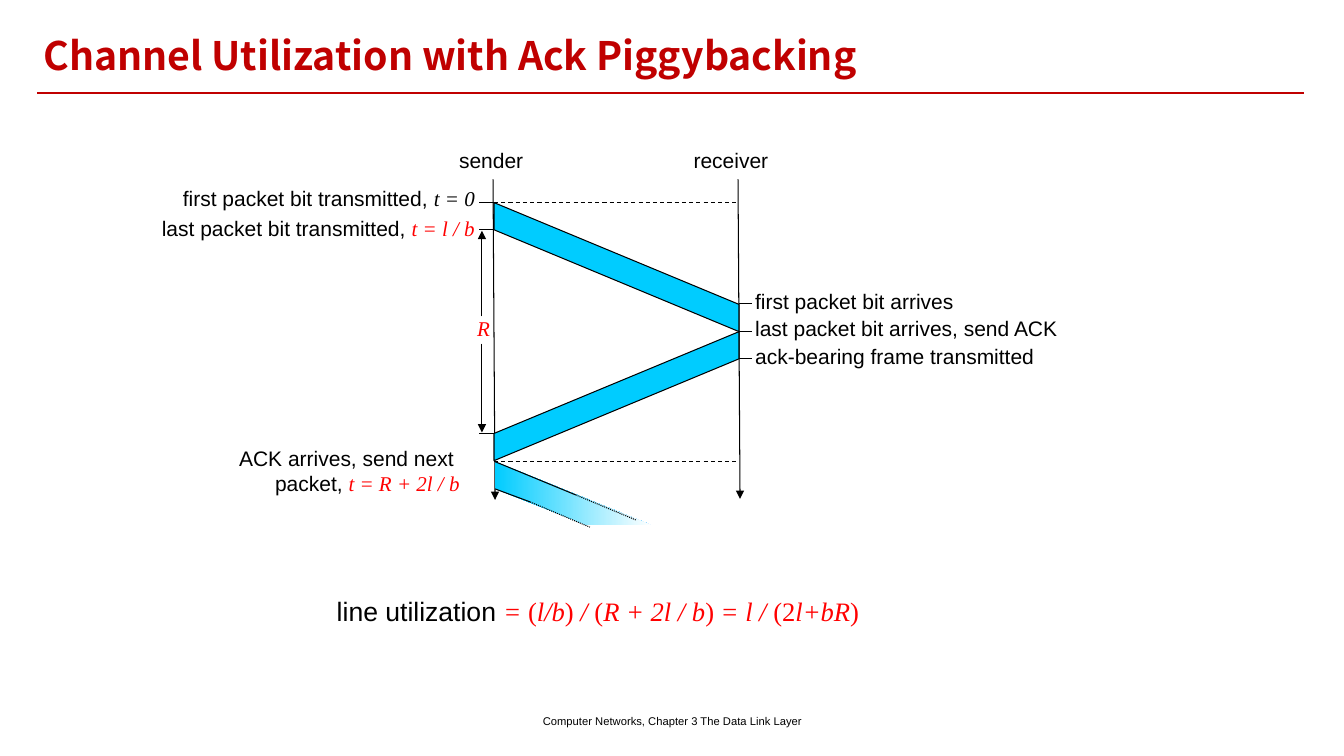
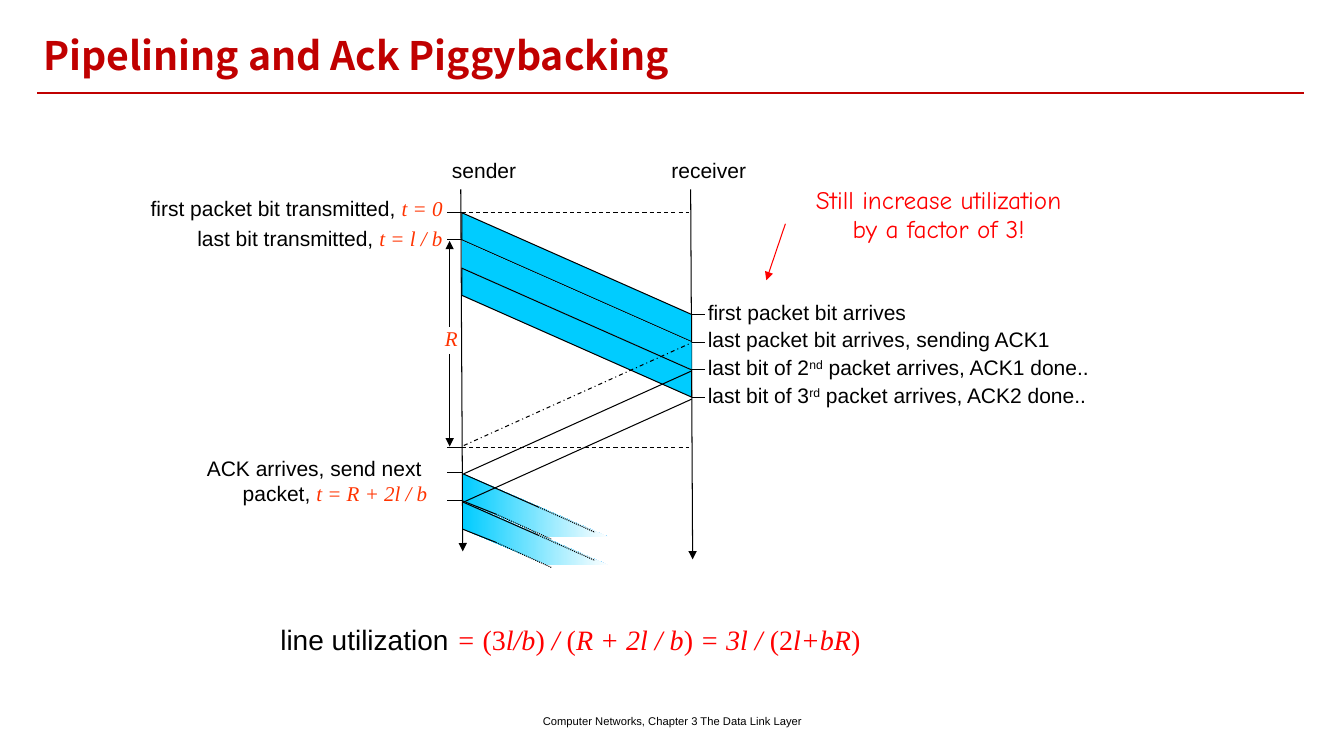
from lxml.etree import SubElement
from pptx import Presentation
from pptx.dml.color import RGBColor
from pptx.enum.dml import MSO_LINE as Dash
from pptx.enum.shapes import MSO_CONNECTOR as Connector
from pptx.enum.text import MSO_ANCHOR as Anchor, PP_ALIGN as Align
from pptx.oxml.ns import qn
from pptx.util import Inches, Pt

DARK_RED = RGBColor(0xC0, 0x00, 0x00)
RED = RGBColor(0xFF, 0x00, 0x00)
ORANGE_RED = RGBColor(0xFF, 0x33, 0x00)
BLACK = RGBColor(0x00, 0x00, 0x00)
WHITE = RGBColor(0xFF, 0xFF, 0xFF)
CYAN = RGBColor(0x00, 0xCC, 0xFF)

SANS = "Arial"
SERIF = "Times New Roman"
TITLE_FONT = "Noto Sans CJK SC"
CALLOUT_FONT = "Comic Neue"

PACKET = 0.27
ROW_HEIGHT = 0.34
TICK = 0.15


def math_run(text, color=RED, italic=True):
    return text, {"font": SERIF, "color": color, "italic": italic}


def superscript(text):
    return text, {"baseline": 30}


def format_run(run, font=SANS, size=15, color=BLACK, bold=False, italic=False, baseline=0):
    run.font.name = font
    run.font.size = Pt(size)
    run.font.color.rgb = color
    run.font.bold = bold
    run.font.italic = italic
    if baseline:
        run.font._element.set("baseline", str(baseline * 1000))


def write_text(shape, paragraphs, align=Align.LEFT, anchor=Anchor.TOP, spacing=1.0, **run_format):
    frame = shape.text_frame
    frame.word_wrap = True
    frame.vertical_anchor = anchor
    frame.margin_left = frame.margin_right = Inches(0.09)
    frame.margin_top = frame.margin_bottom = Inches(0.05)
    for index, runs in enumerate(paragraphs):
        paragraph = frame.add_paragraph() if index else frame.paragraphs[0]
        paragraph.alignment = align
        paragraph.line_spacing = spacing
        for item in runs:
            text, changes = (item, {}) if isinstance(item, str) else item
            run = paragraph.add_run()
            run.text = text
            format_run(run, **{**run_format, **changes})


def add_text(slide, box, paragraphs, **text_format):
    shape = slide.shapes.add_textbox(*map(Inches, box))
    write_text(shape, paragraphs, **text_format)


def add_label_before(slide, right, top, *paragraphs, **text_format):
    width = 3.6
    box = (right - width, top, width, ROW_HEIGHT * len(paragraphs))
    add_text(slide, box, paragraphs, align=Align.RIGHT, **text_format)


def draw_line(slide, start, end, color=BLACK, width=0.75, dash=None, arrow=False):
    connector = slide.shapes.add_connector(Connector.STRAIGHT, *map(Inches, (*start, *end)))
    connector.line.color.rgb = color
    connector.line.width = Pt(width)
    if dash:
        connector.line.dash_style = dash
    properties = connector._element.spPr
    if arrow:
        SubElement(properties.find(qn("a:ln")), qn("a:tailEnd"), type="triangle")
    SubElement(properties, qn("a:effectLst"))


def draw_polygon(slide, points, outlined=True, fading=False):
    corners = [(Inches(x), Inches(y)) for x, y in points]
    builder = slide.shapes.build_freeform(*corners[0])
    builder.add_line_segments(corners[1:], close=True)
    shape = builder.convert_to_shape()
    shape.shadow.inherit = False
    if fading:
        shape.fill.gradient()
        shape.fill.gradient_angle = 0
        for stop, color in zip(shape.fill.gradient_stops, (CYAN, WHITE)):
            stop.color.rgb = color
    else:
        shape.fill.solid()
        shape.fill.fore_color.rgb = CYAN
    if outlined:
        shape.line.color.rgb = BLACK
        shape.line.width = Pt(0.75)
    else:
        shape.line.fill.background()


def draw_packet(slide, x, y, span, outlined=True):
    drop = 1.01
    draw_polygon(slide, [(x, y), (x + span, y + drop), (x + span, y + drop + PACKET),
                         (x, y + PACKET)], outlined=outlined)


def draw_fading_packet(slide, x, y, width):
    scale = width / 1.55

    def place(points):
        return [(x + scale * across, y + down) for across, down in points]

    draw_polygon(slide, place([(0, 0), (1.55, 0.63), (0.92, 0.63), (0, PACKET)]),
                 outlined=False, fading=True)
    for edge in ([(0, 0), (0.8, 0.33), (1.4, 0.58)],
                 [(0, PACKET), (0.35, 0.4), (0.94, 0.65)]):
        start, bend, end = place(edge)
        draw_line(slide, start, bend)
        draw_line(slide, bend, end, dash=Dash.ROUND_DOT)


def draw_timelines(slide, left, top, span, lengths, header_shift):
    for name, x, length in zip(("sender", "receiver"), (left, left + span), lengths):
        add_label_before(slide, x + header_shift, top - 0.6, [name])
        draw_line(slide, (x - 0.01, top - 0.23), (x + 0.01, top + length), arrow=True)


def draw_guides(slide, left, top, span, offsets):
    for offset in offsets:
        y = top + offset
        draw_line(slide, (left, y), (left + span - 0.03, y), dash=Dash.DASH)


def draw_sender_notes(slide, left, top, color, start_color, last_bit, reply, ticks):
    for offset in (0, PACKET, reply, *ticks):
        draw_line(slide, (left, top + offset), (left - TICK, top + offset))
    add_label_before(slide, left - 0.1, top - 0.22,
                     ["first packet bit transmitted, ", math_run("t = 0", start_color)])
    add_label_before(slide, left - 0.1, top + 0.08, [last_bit, math_run("t = l / b", color)])
    add_label_before(slide, left - 0.25, top + 2.36, ["ACK arrives, send next "],
                     ["packet, ", math_run("t = R + 2l / b", color)])
    add_label_before(slide, left + 0.05, top + 1.07, [math_run("R", color)])
    for start, end in ((1.4, reply - 0.01), (1.13, 0.28)):
        draw_line(slide, (left - 0.12, top + start), (left - 0.12, top + end), arrow=True)


def draw_receiver_notes(slide, x, top, notes):
    for index, runs in enumerate(notes):
        y = top + 1 + index * 0.275
        draw_line(slide, (x, y), (x + 0.13, y))
        add_text(slide, (x + 0.07, y - 0.2, 4.2, ROW_HEIGHT), [runs])


def add_formula(slide, left, top, size, factor):
    upright = [math_run(text, italic=False) for text in (f"({factor}", ")", "(", "(2")]
    opening, closing, bracket, last_opening = upright
    runs = ["line utilization ", math_run("= "), opening, math_run("l/b"), closing,
            math_run(" / "), bracket, math_run("R + 2l / b"), closing,
            math_run(f" = {factor}l / "), last_opening, math_run("l+bR"), closing]
    add_text(slide, (left, top, 6.27, 0.42), [runs], size=size)


def add_callout(slide, left, top):
    add_text(slide, (left, top, 3.26, 0.66),
             [["Still increase utilization"], ["by a factor of 3!"]],
             align=Align.CENTER, spacing=0.95, font=CALLOUT_FONT, size=18, color=RED)
    draw_line(slide, (left + 0.11, top + 0.42), (left - 0.08, top + 0.98), color=RED, arrow=True)


def add_framed_slide(presentation, title):
    slide = presentation.slides.add_slide(presentation.slide_layouts[5])
    heading = slide.shapes.title
    heading.left, heading.top, heading.width, heading.height = map(
        Inches, (0.34, 0.26, 12.8, 0.57))
    write_text(heading, [[title]], anchor=Anchor.MIDDLE, font=TITLE_FONT, size=28,
               color=DARK_RED, bold=True)
    draw_line(slide, (0.37, 0.92), (12.93, 0.92), color=DARK_RED, width=1.5)
    add_text(slide, (4.42, 6.95, 4.5, 0.4),
             [["Computer Networks, Chapter 3 The Data Link Layer"]],
             align=Align.CENTER, anchor=Anchor.MIDDLE, size=8)
    return slide


def build_piggybacking(presentation):
    slide = add_framed_slide(presentation, "Channel Utilization with Ack Piggybacking")
    left, top, span = 4.9, 2.01, 2.43
    receiver = left + span
    draw_timelines(slide, left, top, span, (2.95, 2.94), 0.38)
    draw_guides(slide, left, top, span, (0, 2.57))
    draw_packet(slide, left, top, span)
    draw_packet(slide, receiver, top + 1.28, -span)
    draw_fading_packet(slide, left + 0.01, top + 2.57, 1.55)
    draw_sender_notes(slide, left, top, RED, BLACK, "last packet bit transmitted, ", 2.29, ())
    draw_receiver_notes(slide, receiver, top, [
        ["first packet bit arrives"],
        ["last packet bit arrives, send ACK"],
        ["ack-bearing frame transmitted"]])
    add_formula(slide, 3.25, 5.85, 19, "")


def build_pipelining(presentation):
    slide = add_framed_slide(presentation, "Pipelining and Ack Piggybacking")
    left, top, span = 4.58, 2.11, 2.28
    receiver = left + span
    ack_step = 0.28
    draw_timelines(slide, left, top, span, (3.36, 3.44), 0.63)
    draw_guides(slide, left, top, span, (0, 2.33))
    for index in range(3):
        draw_packet(slide, left, top + index * 0.275, span, outlined=index != 1)
    for index in range(2):
        draw_fading_packet(slide, left + 0.01, top + 2.59 + index * ack_step, 1.45)
    for index, dash in enumerate((Dash.DASH_DOT, None, None)):
        delay = index * ack_step
        draw_line(slide, (left + 0.02, top + 2.31 + delay), (receiver, top + 1.29 + delay),
                  dash=dash)
    draw_sender_notes(slide, left, top, ORANGE_RED, ORANGE_RED, "last bit transmitted, ",
                      2.33, (2.58, 2.86))
    draw_receiver_notes(slide, receiver, top + 0.01, [
        ["first packet bit arrives"],
        ["last packet bit arrives, sending ACK1"],
        ["last bit of 2", superscript("nd"), " packet arrives, ACK1 done.."],
        ["last bit of 3", superscript("rd"), " packet arrives, ACK2 done.."]])
    add_callout(slide, 7.68, 1.8)
    add_formula(slide, 2.69, 6.13, 20, "3")


def main():
    presentation = Presentation()
    presentation.slide_width = Inches(13.33)
    presentation.slide_height = Inches(7.5)
    build_piggybacking(presentation)
    build_pipelining(presentation)
    presentation.save("out.pptx")


if __name__ == "__main__":
    main()
